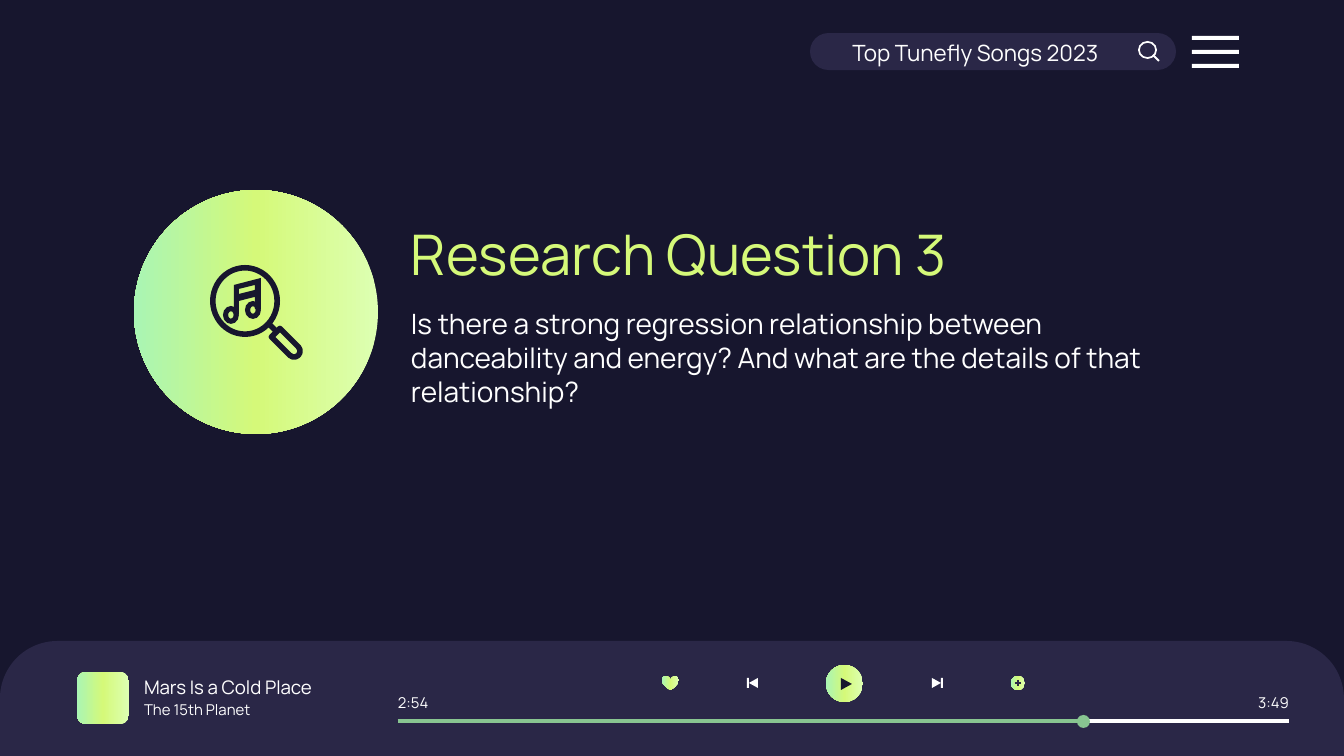
from copy import deepcopy

from pptx import Presentation
from pptx import util as u
from pptx.dml.color import RGBColor
from pptx.enum import shapes, text
from pptx.oxml import ns
from pptx.oxml.xmlchemy import OxmlElement

PX = 9144000 / 1344
COLORS = {
    "night": "17162E",
    "panel": "2A2747",
    "white": "FFFFFF",
    "lime": "D5F979",
    "pale": "DDFFB2",
    "mint": "A9F5B4",
    "progress": "88C591",
}
GRADIENT = ("pale", "lime", "mint")
SHAPE = shapes.MSO_SHAPE
ALIGN = text.PP_ALIGN
ANCHOR = text.MSO_ANCHOR


def px(n):
    return u.Emu(round(n * PX))


def rgb(name):
    return RGBColor.from_string(COLORS[name])


class Deck:
    font = "Manrope"

    def __init__(self, width, height):
        self.prs = Presentation()
        self.prs.slide_width, self.prs.slide_height = px(width), px(height)

    def slide(self, color):
        self.s = self.prs.slides.add_slide(self.prs.slide_layouts[6])
        fill = self.s.background.fill
        fill.solid()
        fill.fore_color.rgb = rgb(color)

    def paint(self, sp, color):
        """Fill with one color, or with the left-to-right gradient for a tuple."""
        sp.shadow.inherit = False
        sp.line.fill.background()
        if isinstance(color, str):
            sp.fill.solid()
            sp.fill.fore_color.rgb = rgb(color)
            return
        sp.fill.gradient()
        sp.fill.gradient_angle = 180
        stops = sp._element.spPr.find(".//" + ns.qn("a:gsLst"))
        stops.append(deepcopy(stops[0]))
        for i, (stop, name) in enumerate(zip(sp.fill.gradient_stops, color)):
            stop.position = i / (len(color) - 1)
            stop.color.rgb = rgb(name)

    def shape(self, kind, box, color, *adjustments):
        sp = self.s.shapes.add_shape(kind, *map(px, box))
        for i, value in enumerate(adjustments):
            sp.adjustments[i] = value
        self.paint(sp, color)
        return sp

    def outline(self, kind, box, color, width, rotation, *adjustments):
        sp = self.shape(kind, box, color, *adjustments)
        sp.fill.background()
        sp.line.color.rgb = rgb(color)
        sp.line.width = u.Pt(width)
        sp.rotation = rotation

    def polygon(self, color, *contours):
        (x, y), *rest = contours[0]
        builder = self.s.shapes.build_freeform(x, y, scale=PX)
        builder.add_line_segments(rest)
        for start, *others in contours[1:]:
            builder.move_to(*start)
            builder.add_line_segments(others)
        self.paint(builder.convert_to_shape(), color)

    def line(self, x1, y1, x2, y2, color, width):
        c = self.s.shapes.add_connector(
            shapes.MSO_CONNECTOR.STRAIGHT, *map(px, (x1, y1, x2, y2)))
        c.line.color.rgb = rgb(color)
        c.line.width = u.Pt(width)
        c._element.spPr.append(OxmlElement("a:effectLst"))

    def text(self, words, box, size, color="white", align=ALIGN.LEFT,
             anchor=ANCHOR.MIDDLE, left=13, right=13, spacing=None):
        tf = self.s.shapes.add_textbox(*map(px, box)).text_frame
        tf.word_wrap = True
        tf.vertical_anchor = anchor
        tf.margin_left, tf.margin_right = px(left), px(right)
        tf.margin_top = tf.margin_bottom = px(13)
        p = tf.paragraphs[0]
        p.text = words
        p.alignment = align
        p.line_spacing = spacing
        p.font.name, p.font.size = self.font, u.Pt(size)
        p.font.color.rgb = rgb(color)


def header(d):
    d.shape(SHAPE.ROUNDED_RECTANGLE, (810, 33, 366, 37), "panel", 0.5)
    for i in range(3):
        d.shape(SHAPE.RECTANGLE, (1192, 36 + 14 * i, 47, 4), "white")
    d.shape(SHAPE.DONUT, (1138, 41, 19, 18), "white", 0.1)
    d.line(1153, 55, 1159, 61, "white", 1)
    d.text("Top Tunefly Songs 2023", (762, 26, 360, 50), 12,
           align=ALIGN.CENTER, left=80, spacing=1.15)


def player(d):
    d.shape(SHAPE.ROUND_2_SAME_RECTANGLE, (0, 641, 1344, 115), "panel", 0.5, 0)
    d.shape(SHAPE.ROUNDED_RECTANGLE, (77, 672, 52, 52), GRADIENT, 0.17)
    d.text("Mars Is a Cold Place", (131, 676, 257, 23), 10)
    d.text("The 15th Planet", (131, 698, 155, 23), 8)
    d.text("2:54", (398, 691, 36, 23), 8, left=0, right=0)
    d.text("3:49", (1253, 691, 36, 23), 8, align=ALIGN.RIGHT, left=0, right=0)

    d.shape(SHAPE.HEART, (662, 676, 17, 14), GRADIENT)
    d.shape(SHAPE.OVAL, (1011, 676, 14, 14), GRADIENT)
    d.line(1018, 680, 1018, 686, "panel", 0.75)
    d.line(1015, 683, 1021, 683, "panel", 0.75)
    d.shape(SHAPE.OVAL, (826, 665, 37, 37), GRADIENT)
    d.polygon("night", [(841, 678), (841, 690), (852, 684)])
    for bar, base, tip in ((747, 758, 749), (941, 932, 941)):
        d.shape(SHAPE.RECTANGLE, (bar, 678, 2, 10), "white")
        d.polygon("white", [(base, 678), (base, 688), (tip, 683)])

    d.line(398, 721, 1289, 721, "white", 2.25)
    d.shape(SHAPE.OVAL, (1077, 715, 13, 13), "progress")
    d.line(398, 721, 1083, 721, "progress", 2.25)


def question(d):
    d.text("Is there a strong regression relationship between danceability "
           "and energy? And what are the details of that relationship?",
           (398, 294, 808, 148), 15, anchor=ANCHOR.TOP)
    d.text("Research Question 3", (398, 211, 672, 85), 30, "lime")
    d.shape(SHAPE.OVAL, (134, 190, 244, 244), GRADIENT)


def music_search_icon(d):
    d.shape(SHAPE.DONUT, (210, 265, 70, 72), "night", 0.08)
    d.line(268, 323, 276, 331, "night", 3)
    d.outline(SHAPE.ROUND_2_SAME_RECTANGLE, (281, 328, 12, 32),
              "night", 3, 135, 0.5, 0)
    for x, y in ((223, 306), (245, 301)):
        d.shape(SHAPE.DONUT, (x, y, 16, 18), "night", 0.33)
    stems = [(261, 278), (234, 285), (234, 314), (239, 314),
             (239, 301), (255, 297), (255, 309), (261, 309)]
    beam_gap = [(255, 285), (255, 290), (239, 294), (239, 289)]
    d.polygon("night", stems, beam_gap)


def main():
    d = Deck(1344, 756)
    d.slide("night")
    header(d)
    player(d)
    question(d)
    music_search_icon(d)
    d.prs.save("out.pptx")


if __name__ == "__main__":
    main()
